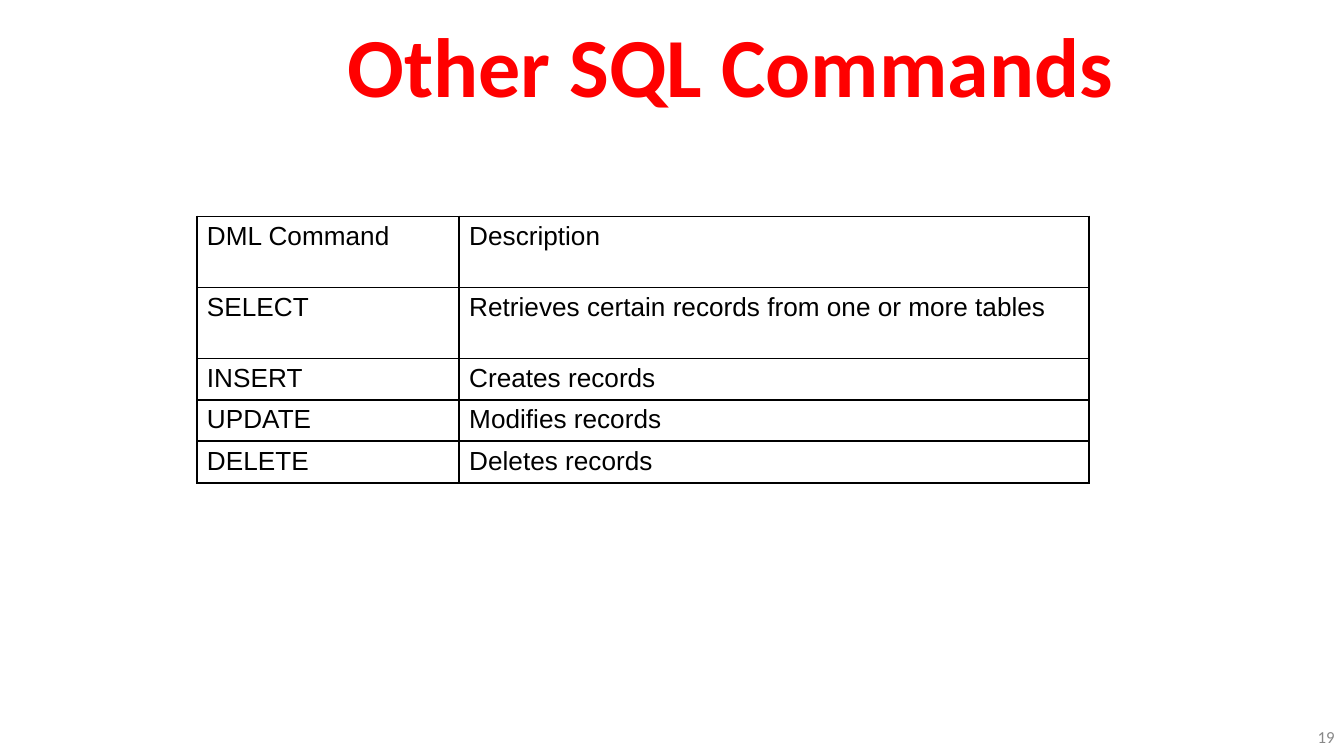
from lxml import etree
from pptx import Presentation
from pptx.dml.color import RGBColor
from pptx.enum.text import MSO_ANCHOR, PP_ALIGN
from pptx.oxml.ns import qn
from pptx.util import Pt

TOP, MIDDLE = MSO_ANCHOR.TOP, MSO_ANCHOR.MIDDLE
LEFT, CENTER, RIGHT = PP_ALIGN.LEFT, PP_ALIGN.CENTER, PP_ALIGN.RIGHT

RED = RGBColor(0xFF, 0x00, 0x00)
BLACK = RGBColor(0x00, 0x00, 0x00)
GRAY = RGBColor(0x88, 0x88, 0x88)

TITLE_FONT = {"name": "Calibri", "size": Pt(45), "bold": True}
NUMBER_FONT = {"name": "Calibri", "size": Pt(9)}
TABLE_FONT = {"name": "Arial", "size": Pt(14)}

COMMANDS = [
    ("DML Command", "Description"),
    ("SELECT", "Retrieves certain records from one or more tables"),
    ("INSERT", "Creates records"),
    ("UPDATE", "Modifies records"),
    ("DELETE", "Deletes records"),
]
COLUMN_WIDTHS = (140.5, 337.5)
ROW_HEIGHTS = (38, 38, 22, 22, 22)


class SlideBuilder:
    def __init__(self, slide, border_color=BLACK, border_width=1):
        self.slide = slide
        self.border_color = border_color
        self.border_width = border_width

    def add_words(self, frame, words, font, color, align):
        paragraph = frame.paragraphs[0]
        paragraph.alignment = align
        run = paragraph.add_run()
        run.text = words
        for name, value in font.items():
            setattr(run.font, name, value)
        run.font.color.rgb = color

    def set_margins(self, target, horizontal, vertical):
        target.margin_left = target.margin_right = Pt(horizontal)
        target.margin_top = target.margin_bottom = Pt(vertical)

    def text(self, box, words, font, color, align, anchor, margins):
        frame = self.slide.shapes.add_textbox(*map(Pt, box)).text_frame
        frame.word_wrap = True
        frame.vertical_anchor = anchor
        self.set_margins(frame, *margins)
        self.add_words(frame, words, font, color, align)

    def outline(self, cell):
        """Draw the four borders; they must precede the fill in the XML."""
        properties = cell._tc.get_or_add_tcPr()
        for position, side in enumerate(("lnL", "lnR", "lnT", "lnB")):
            line = etree.Element(qn(f"a:{side}"), w=str(Pt(self.border_width)))
            fill = etree.SubElement(line, qn("a:solidFill"))
            etree.SubElement(fill, qn("a:srgbClr"), val=str(self.border_color))
            properties.insert(position, line)

    def table(self, left, top, widths, heights, rows, font, color):
        table = self.slide.shapes.add_table(
            len(heights), len(widths), Pt(left), Pt(top),
            Pt(sum(widths)), Pt(sum(heights))).table
        table.first_row = table.horz_banding = False
        for column, width in zip(table.columns, widths):
            column.width = Pt(width)
        for row, height, values in zip(table.rows, heights, rows):
            row.height = Pt(height)
            for cell, value in zip(row.cells, values):
                cell.fill.background()
                self.outline(cell)
                self.set_margins(cell, 5.4, 2.7)
                self.add_words(cell.text_frame, value, font, color, LEFT)


def main():
    presentation = Presentation()
    presentation.slide_width, presentation.slide_height = Pt(720), Pt(405)
    slide = presentation.slides.add_slide(presentation.slide_layouts[6])
    builder = SlideBuilder(slide)
    builder.text((70.5, 0, 641.5, 59), "Other SQL Commands",
                 TITLE_FONT, RED, CENTER, TOP, (7.2, 7.2))
    builder.table(105.5, 116, COLUMN_WIDTHS, ROW_HEIGHTS, COMMANDS,
                  TABLE_FONT, BLACK)
    builder.text((558, 384, 162, 21.5), "19",
                 NUMBER_FONT, GRAY, RIGHT, MIDDLE, (5, 2.7))
    presentation.save("out.pptx")


if __name__ == "__main__":
    main()
